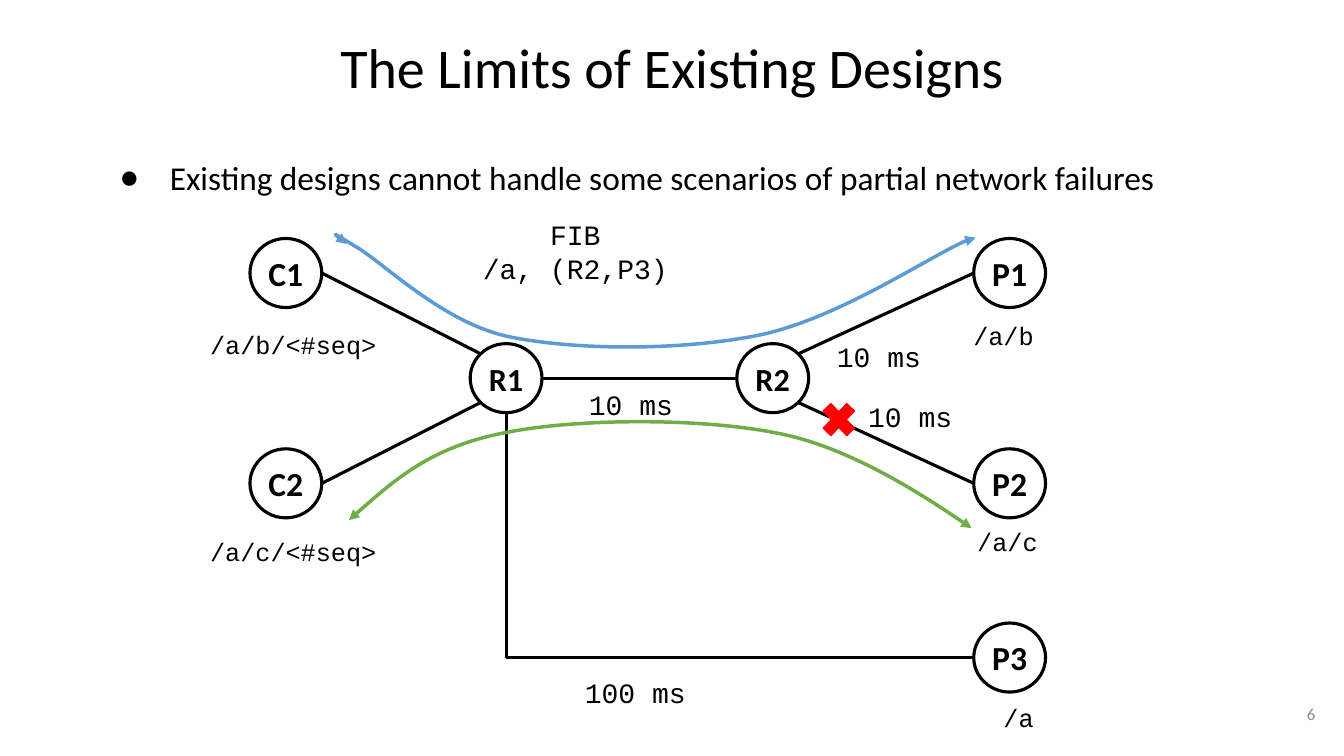
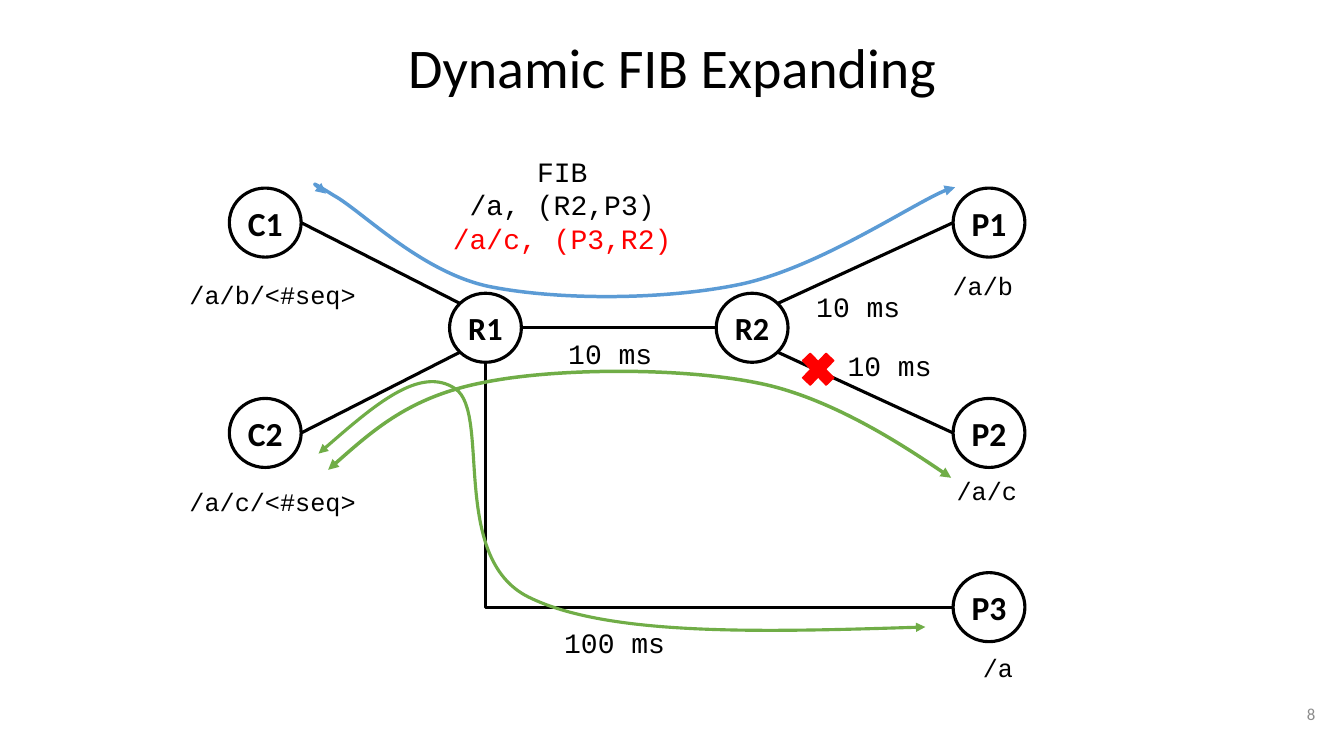
"""Build two slides on partial network failures and dynamic FIB expanding."""
from dataclasses import dataclass

from lxml.etree import SubElement
from pptx import Presentation
from pptx.dml.color import RGBColor
from pptx.enum.shapes import MSO_CONNECTOR as Connector, MSO_SHAPE as Preset
from pptx.enum.text import MSO_ANCHOR as Anchor, MSO_AUTO_SIZE as AutoSize, PP_ALIGN as Align
from pptx.oxml.ns import qn
from pptx.util import Cm, Pt


@dataclass(frozen=True)
class Theme:
    ink: RGBColor = RGBColor(0x00, 0x00, 0x00)
    paper: RGBColor = RGBColor(0xFF, 0xFF, 0xFF)
    gray: RGBColor = RGBColor(0x8C, 0x8C, 0x8C)
    alert: RGBColor = RGBColor(0xFF, 0x00, 0x00)
    blue: RGBColor = RGBColor(0x5B, 0x9B, 0xD5)
    green: RGBColor = RGBColor(0x70, 0xAD, 0x47)
    sans: str = "Calibri"
    mono: str = "Courier New"
    title: float = 40
    body: float = 23.8
    node: float = 24
    router: float = 23
    delay: float = 20
    prefix: float = 18
    number: float = 12
    link: float = 2.25
    route: float = 2.5


THEME = Theme()
NODE_WIDTH, NODE_HEIGHT = 1.81, 1.74
NODES = {
    "C1": (6.3, 6.01), "C2": (6.3, 11.31),
    "R1": (11.85, 8.66), "R2": (18.57, 8.66),
    "P1": (24.54, 6.01), "P2": (24.54, 11.31), "P3": (24.54, 15.7),
}
SITES = {
    "left": (0, 0.5), "right": (1, 0.5), "bottom": (0.5, 1),
    "top left": (0.15, 0.15), "top right": (0.85, 0.15),
    "bottom left": (0.15, 0.85), "bottom right": (0.85, 0.85),
}
LINKS = [
    ("C1", "right", "R1", "top left", Connector.STRAIGHT),
    ("C2", "right", "R1", "bottom left", Connector.STRAIGHT),
    ("R2", "left", "R1", "right", Connector.STRAIGHT),
    ("P1", "left", "R2", "top right", Connector.STRAIGHT),
    ("P2", "left", "R2", "bottom right", Connector.STRAIGHT),
    ("P3", "left", "R1", "bottom", Connector.ELBOW),
]
LABELS = [
    ("/a/b", THEME.prefix, 25.29, 7.95),
    ("/a/c", THEME.prefix, 25.39, 13.13),
    ("/a", THEME.prefix, 25.67, 17.58),
    ("/a/b/<#seq>", THEME.prefix, 7.39, 8.18),
    ("/a/c/<#seq>", THEME.prefix, 7.39, 13.39),
    ("100 ms", THEME.delay, 16.01, 16.89),
    ("10 ms", THEME.delay, 15.9, 9.63),
    ("10 ms", THEME.delay, 22.94, 9.93),
    ("10 ms", THEME.delay, 22.15, 8.43),
]
UPPER_ROUTE = (THEME.blue, THEME.route, [
    (8.74, 6.15), (8.51, 5.97), (8.28, 5.79), (8.94, 6.2),
    (9.63, 6.58), (11.1, 8.1), (12.8, 8.48),
    (14.53, 8.84), (17.25, 8.84), (19.2, 8.43),
    (21.18, 8), (24.05, 6.05), (24.59, 5.99),
])
LOWER_ROUTE = (THEME.green, THEME.route, [
    (8.79, 13.11), (9.83, 12.19), (10.85, 11.28), (12.65, 10.92),
    (14.45, 10.54), (17.65, 10.52), (19.61, 10.92),
    (21.59, 11.3), (24.49, 13.31), (24.49, 13.31),
])
DETOUR = (THEME.green, THEME.link, [
    (8.55, 12.7), (9.84, 11.58), (11.11, 10.46), (12, 11.07),
    (12.89, 11.68), (11.85, 15.32), (13.83, 16.31),
    (15.81, 17.3), (19.82, 17.2), (23.84, 17.07),
])
FIB = [("FIB", THEME.ink), ("/a, (R2,P3)", THEME.ink)]
SLIDES = [
    {
        "title": "The Limits of Existing Designs", "number": "6", "layout": 1,
        "bullet": "Existing designs cannot handle some scenarios of partial network failures",
        "offset": (0, 0), "fib": FIB, "fib_at": (14.5, 5.36),
        "routes": [UPPER_ROUTE, LOWER_ROUTE],
    },
    {
        "title": "Dynamic FIB Expanding", "number": "8", "layout": 5, "bullet": None,
        "offset": (-0.52, -1.27), "fib": FIB + [("/a/c, (P3,R2)", THEME.alert)],
        "fib_at": (14.69, 5.03), "routes": [UPPER_ROUTE, LOWER_ROUTE, DETOUR],
    },
]


def add_text(paragraph, text, size, font=THEME.sans, color=THEME.ink, align=Align.CENTER, bold=False):
    paragraph.alignment = align
    run = paragraph.add_run()
    run.text = text
    run.font.name, run.font.size, run.font.bold = font, Pt(size), bold
    run.font.color.rgb = color


def set_frame(shape, anchor, inset_x=0.25, inset_y=0.25, wrap=True):
    frame = shape.text_frame
    frame.auto_size, frame.word_wrap, frame.vertical_anchor = AutoSize.NONE, wrap, anchor
    frame.margin_left = frame.margin_right = Cm(inset_x)
    frame.margin_top = frame.margin_bottom = Cm(inset_y)
    return frame


presentation = Presentation()
presentation.slide_width, presentation.slide_height = Cm(33.87), Cm(19.05)

for content in SLIDES:
    slide = presentation.slides.add_slide(presentation.slide_layouts[content["layout"]])
    shapes = slide.shapes
    shift_x, shift_y = content["offset"]

    title = shapes.title
    title.left, title.top, title.width, title.height = Cm(2.33), Cm(0), Cm(29.21), Cm(3.54)
    paragraph = set_frame(title, Anchor.MIDDLE).paragraphs[0]
    paragraph.line_spacing = 0.9
    add_text(paragraph, content["title"], THEME.title)

    if content["bullet"]:
        body = slide.placeholders[1]
        body.left, body.top, body.width, body.height = Cm(2.33), Cm(3.91), Cm(29.21), Cm(1.57)
        paragraph = set_frame(body, Anchor.TOP).paragraphs[0]
        paragraph.line_spacing, paragraph.space_before = 0.8, Pt(0)
        properties = paragraph._p.get_or_add_pPr()
        properties.set("marL", str(Cm(1.7)))
        properties.set("indent", str(Cm(-1.27)))
        SubElement(properties, qn("a:buChar")).set("char", "●")
        add_text(paragraph, content["bullet"], THEME.body, align=Align.LEFT)

    number = shapes.add_textbox(Cm(31.37), Cm(17.27), Cm(2.03), Cm(1.45))
    paragraph = set_frame(number, Anchor.MIDDLE).paragraphs[0]
    add_text(paragraph, content["number"], THEME.number, color=THEME.gray, align=Align.RIGHT)

    for name, (left, top) in NODES.items():
        node = shapes.add_shape(Preset.OVAL, Cm(left + shift_x), Cm(top + shift_y),
                                Cm(NODE_WIDTH), Cm(NODE_HEIGHT))
        node.shadow.inherit = False
        node.fill.solid()
        node.fill.fore_color.rgb = THEME.paper
        node.line.color.rgb, node.line.width = THEME.ink, Pt(THEME.link)
        paragraph = set_frame(node, Anchor.MIDDLE, 0.18, 0.1, wrap=False).paragraphs[0]
        size = THEME.router if name.startswith("R") else THEME.node
        add_text(paragraph, name, size, bold=True)

    for first, first_site, second, second_site, kind in LINKS:
        ends = []
        for name, site in ((first, first_site), (second, second_site)):
            (left, top), (across, down) = NODES[name], SITES[site]
            ends += [Cm(left + shift_x + across * NODE_WIDTH), Cm(top + shift_y + down * NODE_HEIGHT)]
        link = shapes.add_connector(kind, *ends)
        link.line.color.rgb, link.line.width = THEME.ink, Pt(THEME.link)
        properties = link._element.spPr
        SubElement(properties, qn("a:effectLst"))
        if kind == Connector.ELBOW:
            properties.find(qn("a:prstGeom")).set("prst", "bentConnector2")

    labels = [([(text, THEME.ink)], size, center, top) for text, size, center, top in LABELS]
    labels.append((content["fib"], THEME.delay, *content["fib_at"]))
    for lines, size, center, top in labels:
        width = max(len(text) for text, color in lines) * size * 0.0212 + 0.9
        height = len(lines) * size * 0.04 + 0.3
        label = shapes.add_textbox(Cm(center - width / 2 + shift_x), Cm(top + shift_y),
                                   Cm(width), Cm(height))
        frame = set_frame(label, Anchor.TOP, 0.25, 0.13)
        for index, (text, color) in enumerate(lines):
            paragraph = frame.add_paragraph() if index else frame.paragraphs[0]
            add_text(paragraph, text, size, THEME.mono, color)

    for color, weight, points in content["routes"]:
        start, *controls = [(Cm(x + shift_x), Cm(y + shift_y)) for x, y in points]
        builder = shapes.build_freeform(*start)
        builder.add_line_segments(controls, close=False)
        route = builder.convert_to_shape()
        route.shadow.inherit = False
        route.fill.background()
        route.line.color.rgb, route.line.width = color, Pt(weight)
        line = route._element.spPr.find(qn("a:ln"))
        for end in ("a:headEnd", "a:tailEnd"):
            SubElement(line, qn(end)).set("type", "triangle")
        outline = route._element.xpath(".//a:path")[0]
        segments = outline.findall(qn("a:lnTo"))
        for index in range(0, len(segments), 3):
            curve = SubElement(outline, qn("a:cubicBezTo"))
            for segment in segments[index:index + 3]:
                curve.append(segment[0])
                outline.remove(segment)

    cross = shapes.add_shape(Preset.MATH_MULTIPLY, Cm(20.57 + shift_x), Cm(9.98 + shift_y),
                             Cm(1.14), Cm(1.19))
    cross.shadow.inherit = False
    cross.fill.solid()
    cross.fill.fore_color.rgb = THEME.alert
    cross.line.color.rgb, cross.line.width = THEME.alert, Pt(1)

presentation.save("out.pptx")
